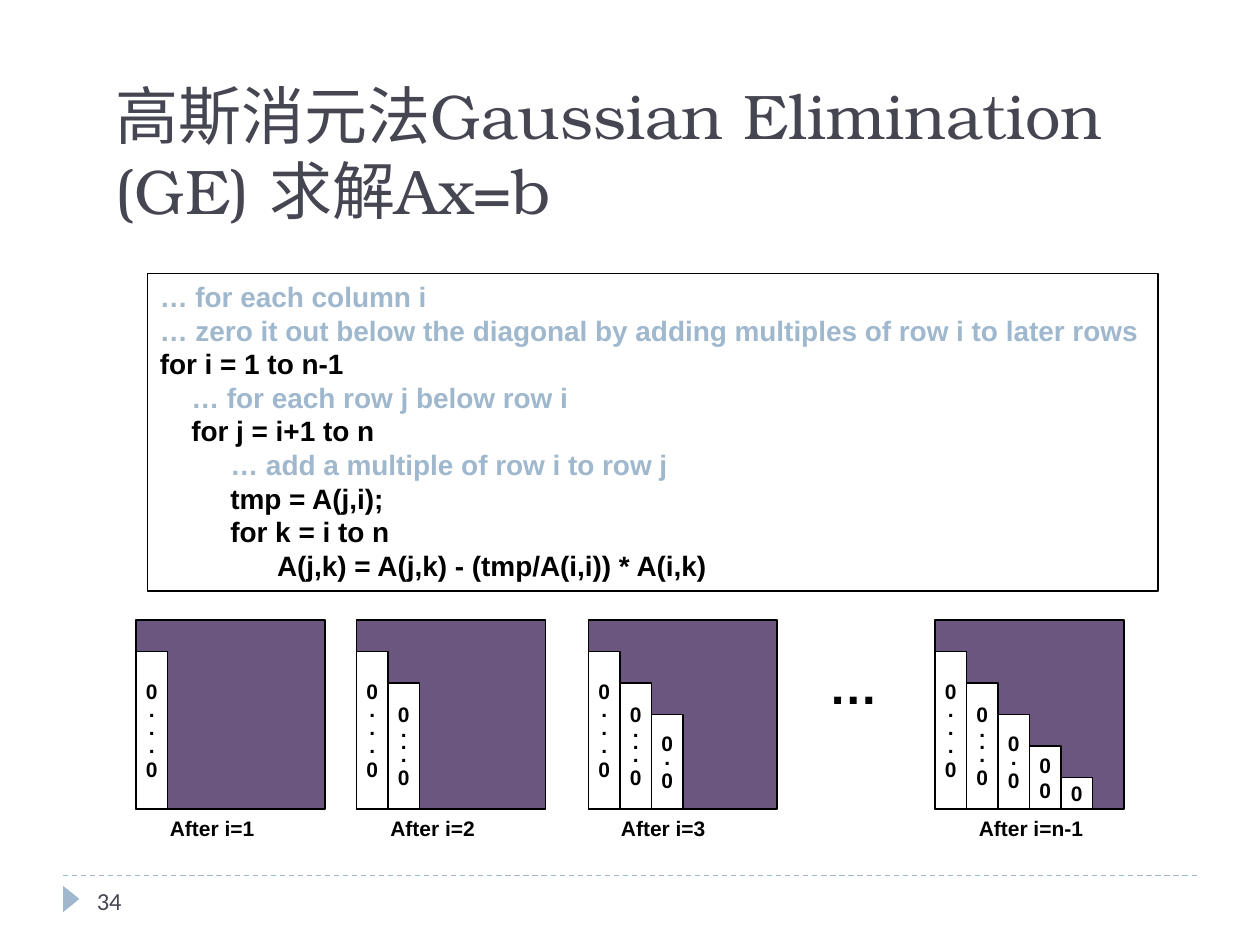
from dataclasses import dataclass

from lxml.etree import SubElement
from pptx import Presentation
from pptx.dml.color import RGBColor
from pptx.enum.dml import MSO_LINE
from pptx.enum.shapes import MSO_CONNECTOR, MSO_SHAPE
from pptx.enum.text import MSO_ANCHOR, PP_ALIGN
from pptx.oxml.ns import qn
from pptx.util import Inches, Pt


@dataclass(frozen=True)
class Theme:
    """Colours, fonts and type sizes of the slide."""
    ink: str = "000000"
    heading: str = "464653"
    accent: str = "9FB8CD"
    matrix: str = "6B5680"
    paper: str = "FFFFFF"
    title_font: str = "TeX Gyre Bonum"
    body_font: str = "Arial"
    number_font: str = "Calibri"
    title_size: int = 36
    code_size: int = 16
    label_size: int = 12
    number_size: int = 14
    ellipsis_size: int = 28


THEME = Theme()
TITLE = "高斯消元法Gaussian Elimination (GE) 求解Ax=b"
PAGE_NUMBER = "34"
# Indent in inches, text; lines that open with an ellipsis are remarks
CODE = [
    (0, "… for each column i"),
    (0, "… zero it out below the diagonal by adding multiples of row i to later rows"),
    (0, "for i = 1 to n-1"),
    (0.25, "… for each row j below row i"),
    (0.25, "for j = i+1 to n"),
    (0.56, "… add a multiple of row i to row j"),
    (0.56, "tmp = A(j,i);"),
    (0.56, "for k = i to n"),
    (0.93, "A(j,k) = A(j,k) - (tmp/A(i,i)) * A(i,k)"),
]
# Entries of each zeroed column and the line spacing of its dots
ZERO_COLUMNS = [("0...0", 0.7), ("0...0", 0.5), ("0.0", 0.5), ("00", 1), ("0", 1)]
# Left edge, zeroed columns, caption, caption left edge, caption width
STAGES = [
    (1.08, 1, "After i=1", 1.25, 0.87),
    (2.83, 2, "After i=2", 3.0, 0.87),
    (4.67, 3, "After i=3", 4.83, 0.87),
    (7.42, 5, "After i=n-1", 7.67, 1.03),
]
MATRIX_TOP, MATRIX_SIDE, STEP = 4.92, 1.5, 0.25


def colour(value):
    """Turn a hex string into a colour."""
    return RGBColor.from_string(value)


def add_span(para, text, size, ink=THEME.ink, font=THEME.body_font, bold=True):
    """Add one formatted run to a paragraph."""
    span = para.add_run()
    span.text = text
    span.font.size = Pt(size)
    span.font.name = font
    span.font.bold = bold
    span.font.color.rgb = colour(ink)


def next_para(frame, index):
    """Return the first paragraph, or a new one after it."""
    return frame.add_paragraph() if index else frame.paragraphs[0]


def add_box(page, bounds, fill=None, line=THEME.ink, kind=MSO_SHAPE.RECTANGLE):
    """Add a preset shape with flat fill and a thin outline."""
    box = page.shapes.add_shape(kind, *map(Inches, bounds))
    box.shadow.inherit = False
    if fill:
        box.fill.solid()
        box.fill.fore_color.rgb = colour(fill)
    else:
        box.fill.background()
    if line:
        box.line.color.rgb = colour(line)
        box.line.width = Pt(1)
    else:
        box.line.fill.background()
    box.text_frame.word_wrap = False
    return box


def add_label(page, bounds, text, size, **style):
    """Add a one-line text box."""
    frame = page.shapes.add_textbox(*map(Inches, bounds)).text_frame
    frame.word_wrap = False
    add_span(frame.paragraphs[0], text, size, **style)
    return frame


def add_title(page):
    """Place and fill the title placeholder."""
    title = page.shapes.title
    title.left, title.top, title.width, title.height = map(Inches, (0.85, 0.57, 9.15, 1.27))
    frame = title.text_frame
    frame.margin_left = frame.margin_right = Inches(0.07)
    frame.margin_top = frame.margin_bottom = Inches(0.03)
    frame.vertical_anchor = MSO_ANCHOR.MIDDLE
    frame.word_wrap = True
    para = frame.paragraphs[0]
    para.alignment = PP_ALIGN.LEFT
    add_span(para, TITLE, THEME.title_size, THEME.heading, THEME.title_font, False)


def add_footer(page):
    """Add the dashed rule, the marker and the page number."""
    rule = page.shapes.add_connector(
        MSO_CONNECTOR.STRAIGHT, Inches(0.5), Inches(6.95), Inches(9.5), Inches(6.95))
    rule.line.color.rgb = colour(THEME.accent)
    rule.line.width = Pt(0.75)
    rule.line.dash_style = MSO_LINE.DASH
    SubElement(rule.element.spPr, qn("a:effectLst"))
    marker = add_box(page, (0.46, 7.07, 0.21, 0.13), THEME.accent, None,
                     MSO_SHAPE.ISOSCELES_TRIANGLE)
    marker.rotation = 90
    frame = add_label(page, (0.67, 6.95, 2.17, 0.4), PAGE_NUMBER, THEME.number_size,
                      ink=THEME.heading, font=THEME.number_font, bold=False)
    frame.word_wrap = True
    frame.vertical_anchor = MSO_ANCHOR.MIDDLE


def add_code(page):
    """Add the framed algorithm with indented lines."""
    frame = add_box(page, (1.17, 2.17, 8.02, 2.52)).text_frame
    frame.vertical_anchor = MSO_ANCHOR.TOP
    for index, (indent, text) in enumerate(CODE):
        para = next_para(frame, index)
        para.alignment = PP_ALIGN.LEFT
        if indent:
            para._p.get_or_add_pPr().set("marL", str(Inches(indent)))
        ink = THEME.accent if text.startswith("…") else THEME.ink
        add_span(para, text, THEME.code_size, ink)


def add_stage(page, left, count, caption, caption_left, caption_width):
    """Add a matrix with its first columns zeroed below the diagonal."""
    add_box(page, (left, MATRIX_TOP, MATRIX_SIDE, MATRIX_SIDE), THEME.matrix)
    for column, (entries, dot_spacing) in enumerate(ZERO_COLUMNS[:count]):
        drop = (column + 1) * STEP
        bounds = (left + column * STEP, MATRIX_TOP + drop, STEP, MATRIX_SIDE - drop)
        frame = add_box(page, bounds, THEME.paper).text_frame
        frame.vertical_anchor = MSO_ANCHOR.MIDDLE
        for index, entry in enumerate(entries):
            para = next_para(frame, index)
            para.alignment = PP_ALIGN.CENTER
            if entry == ".":
                para.line_spacing = dot_spacing
            add_span(para, entry, THEME.label_size)
    add_label(page, (caption_left, MATRIX_TOP + MATRIX_SIDE, caption_width, 0.3),
              caption, THEME.label_size)


def build():
    """Build and save the deck."""
    deck = Presentation()
    deck.slide_width, deck.slide_height = Inches(10), Inches(7.5)
    page = deck.slides.add_slide(deck.slide_layouts.get_by_name("Title Only"))
    add_footer(page)
    add_title(page)
    add_code(page)
    for stage in STAGES:
        add_stage(page, *stage)
    add_label(page, (6.48, 5.15, 0.59, 0.57), "…", THEME.ellipsis_size)
    deck.save("out.pptx")


build()
